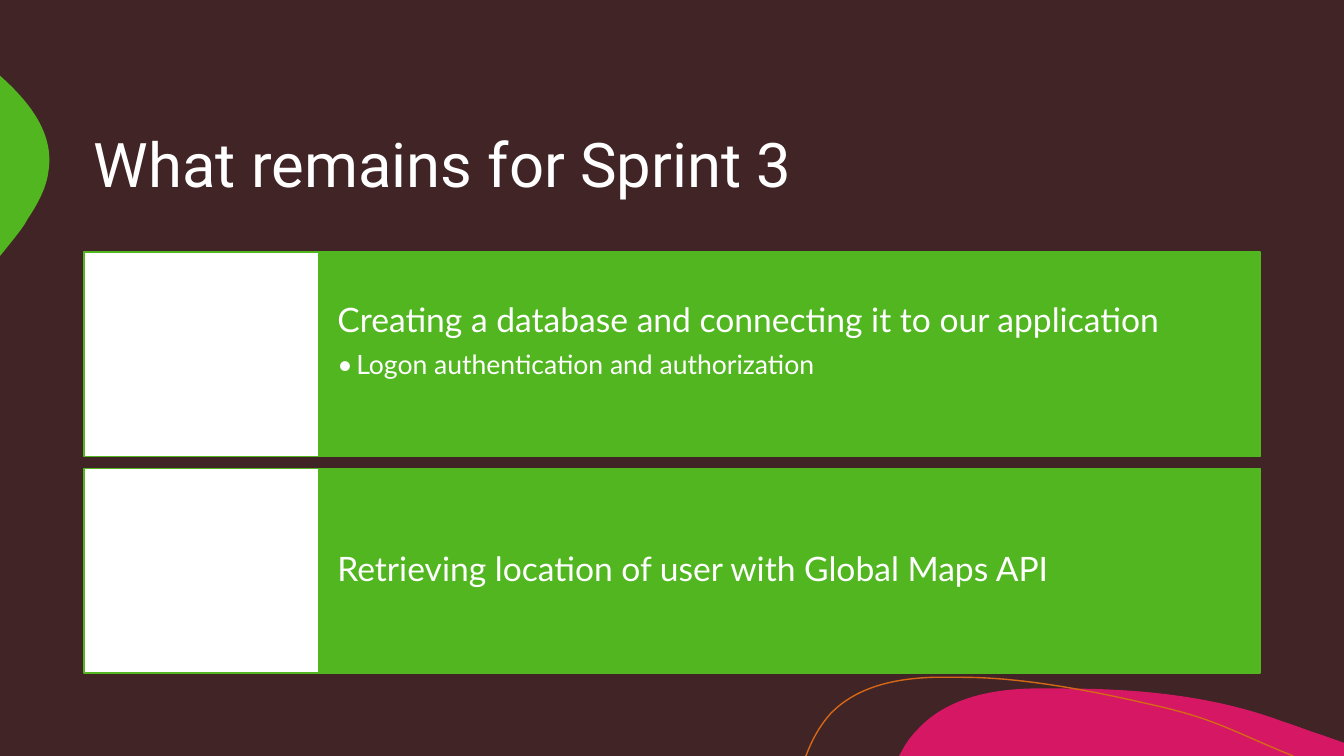
from lxml import etree
from pptx import Presentation
from pptx.dml.color import RGBColor
from pptx.enum.shapes import MSO_SHAPE
from pptx.enum.text import MSO_ANCHOR, PP_ALIGN
from pptx.oxml.ns import qn
from pptx.util import Pt

RECT = MSO_SHAPE.RECTANGLE
TOP, MIDDLE = MSO_ANCHOR.TOP, MSO_ANCHOR.MIDDLE
LEFT = PP_ALIGN.LEFT
DARK, GREEN, PINK, ORANGE, WHITE = "412425", "51B620", "D51764", "D56817", "FFFFFF"

# Outlines: two numbers make a line, six a Bezier curve, relative to the box
PINK_BLOB = [
    (116.8, 0), (170, 0, 224.7, 5, 274.4, 23.7),
    (283.7, 26.6, 292.4, 30.2, 301.7, 33.1),
    (317.8, 38.8), (317.8, 48.2), (0, 48.2), (4.4, 40.3),
    (7.2, 36, 10.1, 32.4, 13.7, 28.8), (33.9, 7.2, 64.8, 0.7, 94.4, 0),
    (101.6, 0, 108.8, 0, 116.8, 0),
]
GREEN_BLOB = [
    (0, 0), (0.7, 0.7), (21.6, 19.4, 38.9, 41.8, 34.6, 68.4),
    (33.1, 80.6, 26.6, 92.2, 19.4, 103), (17.3, 107.3, 12.2, 113.8, 5.8, 121.7),
    (0, 128.9),
]
WAVE = [
    (0, 56.2), (0.7, 55.5), (5, 44, 10.8, 33.9, 18, 26),
    (36.7, 6.5, 64.8, 0.8, 91.4, 0), (112.3, 0),
    (160.5, 0, 216.7, 12.3, 256.3, 21.6), (295.2, 31, 307.4, 39.6, 348.5, 56.2),
]
ROWS = [
    (TOP, "Creating a database and connecting it to our application",
     ["Logon authentication and authorization"]),
    (MIDDLE, "Retrieving location of user with Global Maps API", []),
]


def color(text):
    return RGBColor.from_string(text)


def paint(shape, fill=None, line=None):
    shape.shadow.inherit = False
    if fill:
        shape.fill.solid()
        shape.fill.fore_color.rgb = color(fill)
    else:
        shape.fill.background()
    if line:
        shape.line.color.rgb = color(line)
        shape.line.width = Pt(1)
    else:
        shape.line.fill.background()


def bend(shape, x, y, steps):
    """Turn the segments that have control points into curves."""
    lines = list(shape._element.iter(qn("a:lnTo")))
    for line, step in zip(lines, steps[1:]):
        if len(step) == 2:
            continue
        line.tag = qn("a:cubicBezTo")
        for i in (0, 2):
            node = etree.Element(qn("a:pt"))
            node.set("x", str(Pt(x + step[i]) - shape.left))
            node.set("y", str(Pt(y + step[i + 1]) - shape.top))
            line.insert(i // 2, node)


def draw_blob(slide, x, y, steps, fill=None, line=None):
    ends = [(Pt(x + step[-2]), Pt(y + step[-1])) for step in steps]
    pen = slide.shapes.build_freeform(*ends[0])
    pen.add_line_segments(ends[1:], close=bool(fill))
    shape = pen.convert_to_shape()
    bend(shape, x, y, steps)
    paint(shape, fill, line)


def style(para, text, font, size, after=0):
    para.text = text
    para.alignment = LEFT
    para.line_spacing = 0.9
    para.space_after = Pt(after)
    para.font.name = font
    para.font.size = Pt(size)
    para.font.color.rgb = color(WHITE)


def add_bullet(para, font):
    para.level = 1
    props = para._p.get_or_add_pPr()
    props.set("marL", str(Pt(13.5)))
    props.set("indent", str(-Pt(13.5)))
    etree.SubElement(props, qn("a:buFont")).set("typeface", font)
    etree.SubElement(props, qn("a:buChar")).set("char", "•")


def draw_title(slide, x, y, w, h, text):
    frame = slide.shapes.add_textbox(Pt(x), Pt(y), Pt(w), Pt(h)).text_frame
    frame.word_wrap = True
    frame.vertical_anchor = MIDDLE
    style(frame.paragraphs[0], text, "Roboto", 44)


def draw_row(slide, x, y, w, h, anchor, head, items):
    side = w / 5
    # Text panel
    panel = slide.shapes.add_shape(RECT, Pt(x + side), Pt(y), Pt(w - side), Pt(h))
    paint(panel, GREEN, GREEN)
    frame = panel.text_frame
    frame.word_wrap = True
    frame.vertical_anchor = anchor
    frame.margin_left = frame.margin_right = Pt(13)
    frame.margin_top = frame.margin_bottom = Pt(36.5)
    style(frame.paragraphs[0], head, "Lato", 24, 8.4)
    for item in items:
        para = frame.add_paragraph()
        add_bullet(para, "Lato")
        style(para, item, "Lato", 19, 2.9)
    # White panel
    blank = slide.shapes.add_shape(RECT, Pt(x), Pt(y), Pt(side), Pt(h))
    paint(blank, WHITE, GREEN)


def draw_rows(slide, x, y, w, h, gap, rows):
    high = (h - gap * (len(rows) - 1)) / len(rows)
    for i, row in enumerate(rows):
        draw_row(slide, x, y + i * (high + gap), w, high, *row)


def main():
    deck = Presentation()
    deck.slide_width, deck.slide_height = Pt(960), Pt(540)
    slide = deck.slides.add_slide(deck.slide_layouts[6])
    slide.background.fill.solid()
    slide.background.fill.fore_color.rgb = color(DARK)

    # Decoration
    draw_blob(slide, 642.2, 491.8, PINK_BLOB, fill=PINK)
    draw_blob(slide, 0, 54, GREEN_BLOB, fill=GREEN)
    draw_blob(slide, 575.3, 483.8, WAVE, line=ORANGE)

    # Content
    draw_title(slide, 60, 60, 840, 120, "What remains for Sprint 3")
    draw_rows(slide, 60, 180, 840, 300.6, 8.6, ROWS)
    deck.save("out.pptx")


if __name__ == "__main__":
    main()
